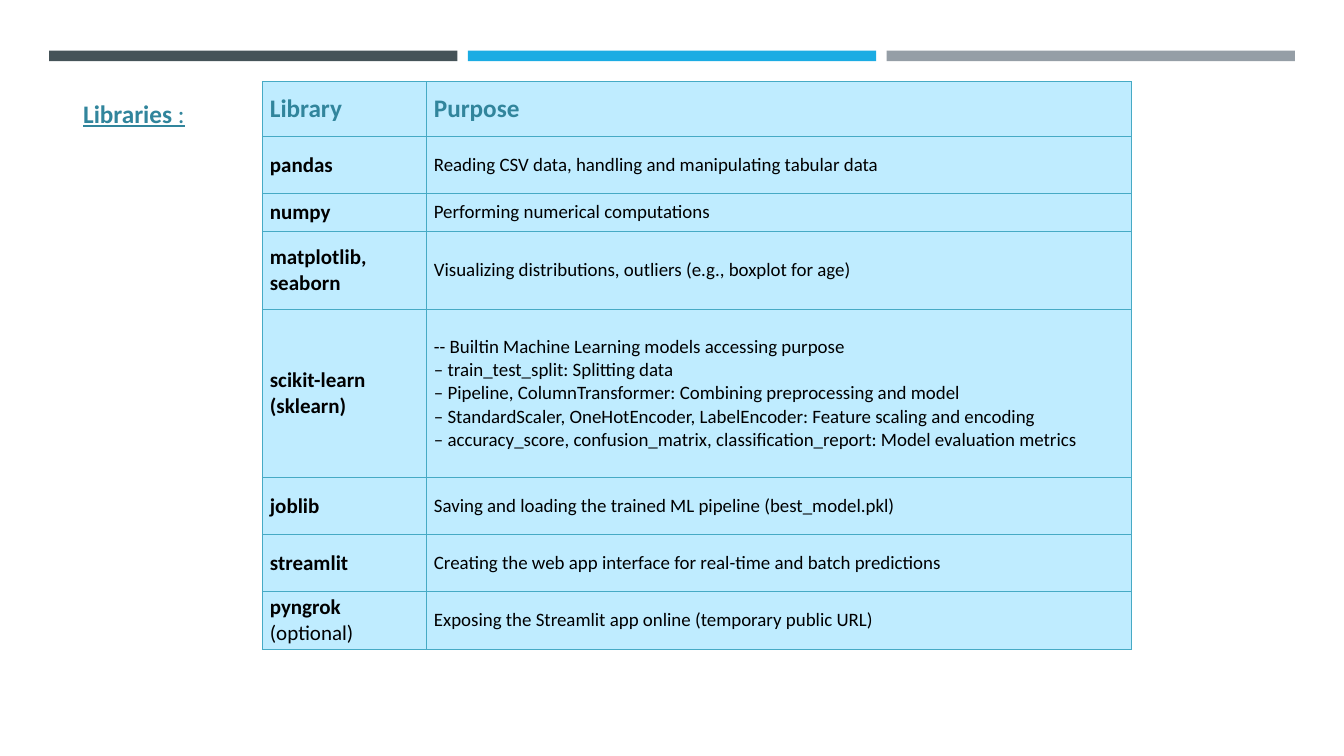
from typing import NamedTuple

from lxml.etree import SubElement
from pptx import Presentation
from pptx.dml.color import RGBColor
from pptx.enum.shapes import MSO_SHAPE
from pptx.enum.text import MSO_ANCHOR, MSO_AUTO_SIZE, PP_ALIGN
from pptx.oxml.ns import qn
from pptx.util import Inches, Pt

FONT = "Calibri"
TEAL = RGBColor(0x31, 0x85, 0x9C)
BLACK = RGBColor(0, 0, 0)
CELL_BLUE = RGBColor(0xBF, 0xEC, 0xFF)
BORDER = RGBColor(0x46, 0xAA, 0xC5)
SLATE = RGBColor(0x45, 0x53, 0x58)
SKY = RGBColor(0x1B, 0xAC, 0xE3)
GREY = RGBColor(0x95, 0x9E, 0xA6)

BAR_LEFT, BAR_TOP, BAR_W, BAR_H, BAR_STEP = 0.65, 0.67, 5.4, 0.14, 5.54
COL_WIDTHS = (2.17, 9.33)


class Library(NamedTuple):
    name: str
    purpose: str
    height: float
    note: str = ""


LIBRARIES = [
    Library("pandas", "Reading CSV data, handling and manipulating tabular data", 0.75),
    Library("numpy", "Performing numerical computations", 0.5),
    Library("matplotlib,\nseaborn",
            "Visualizing distributions, outliers (e.g., boxplot for age)", 1.03),
    Library("scikit-learn\n(sklearn)",
            "-- Builtin Machine Learning models accessing purpose\n"
            "– train_test_split: Splitting data\n"
            "– Pipeline, ColumnTransformer: Combining preprocessing and model\n"
            "– StandardScaler, OneHotEncoder, LabelEncoder: Feature scaling and encoding\n"
            "– accuracy_score, confusion_matrix, classification_report: "
            "Model evaluation metrics", 2.23),
    Library("joblib", "Saving and loading the trained ML pipeline (best_model.pkl)", 0.75),
    Library("streamlit",
            "Creating the web app interface for real-time and batch predictions", 0.75),
    Library("pyngrok", "Exposing the Streamlit app online (temporary public URL)", 0.75,
            " (optional)"),
]


def format_run(r, size: float, color: RGBColor, bold: bool) -> None:
    r.font.name = FONT
    r.font.size = Pt(size)
    r.font.color.rgb = color
    r.font.bold = bold


def add_bar(slide, index: int, color: RGBColor) -> None:
    sp = slide.shapes.add_shape(
        MSO_SHAPE.RECTANGLE, Inches(BAR_LEFT + index * BAR_STEP), Inches(BAR_TOP),
        Inches(BAR_W), Inches(BAR_H))
    sp.shadow.inherit = False
    sp.fill.solid()
    sp.fill.fore_color.rgb = color
    sp.line.fill.background()


def add_borders(cell) -> None:
    tc_pr = cell._tc.get_or_add_tcPr()
    for side in ("a:lnL", "a:lnR", "a:lnT", "a:lnB"):
        ln = SubElement(tc_pr, qn(side), w=str(Pt(0.75)))
        fill = SubElement(ln, qn("a:solidFill"))
        SubElement(fill, qn("a:srgbClr"), val=str(BORDER))


def fill_cell(cell, text: str, size: float, color: RGBColor, bold: bool,
              note: str = "") -> None:
    """Write the text, then an optional note in regular weight."""
    add_borders(cell)
    cell.fill.solid()
    cell.fill.fore_color.rgb = CELL_BLUE
    cell.vertical_anchor = MSO_ANCHOR.MIDDLE
    tf = cell.text_frame
    tf.text = text
    for p in tf.paragraphs:
        for r in p.runs:
            format_run(r, size, color, bold)
    if note:
        r = tf.paragraphs[-1].add_run()
        r.text = note
        format_run(r, size, color, False)


def add_library_table(slide) -> None:
    heights = [0.73] + [lib.height for lib in LIBRARIES]
    table = slide.shapes.add_table(
        len(heights), len(COL_WIDTHS), Inches(3.47), Inches(1.08),
        Inches(sum(COL_WIDTHS)), Inches(sum(heights))).table
    table.first_row = table.horz_banding = False
    for column, width in zip(table.columns, COL_WIDTHS):
        column.width = Inches(width)
    for row, height in zip(table.rows, heights):
        row.height = Inches(height)
    for col, heading in enumerate(("Library", "Purpose")):
        fill_cell(table.cell(0, col), heading, 24, TEAL, True)
    for row, lib in enumerate(LIBRARIES, start=1):
        fill_cell(table.cell(row, 0), lib.name, 20, BLACK, True, lib.note)
        fill_cell(table.cell(row, 1), lib.purpose, 18, BLACK, False)


def set_title(slide) -> None:
    title = slide.shapes.title
    title.left, title.top = Inches(1), Inches(1.25)
    title.width, title.height = Inches(1.81), Inches(0.5)
    tf = title.text_frame
    tf.word_wrap = True
    tf.auto_size = MSO_AUTO_SIZE.SHAPE_TO_FIT_TEXT
    tf.vertical_anchor = MSO_ANCHOR.TOP
    p = tf.paragraphs[0]
    p.alignment = PP_ALIGN.LEFT
    for text, bold in (("Libraries", True), (" :", False)):
        r = p.add_run()
        r.text = text
        format_run(r, 24, TEAL, bold)
        r.font.underline = True


def main() -> None:
    prs = Presentation()
    prs.slide_width, prs.slide_height = Inches(17.78), Inches(10)
    slide = prs.slides.add_slide(prs.slide_layouts[5])
    for index, color in enumerate((SLATE, SKY, GREY)):
        add_bar(slide, index, color)
    add_library_table(slide)
    set_title(slide)
    prs.save("out.pptx")


if __name__ == "__main__":
    main()
